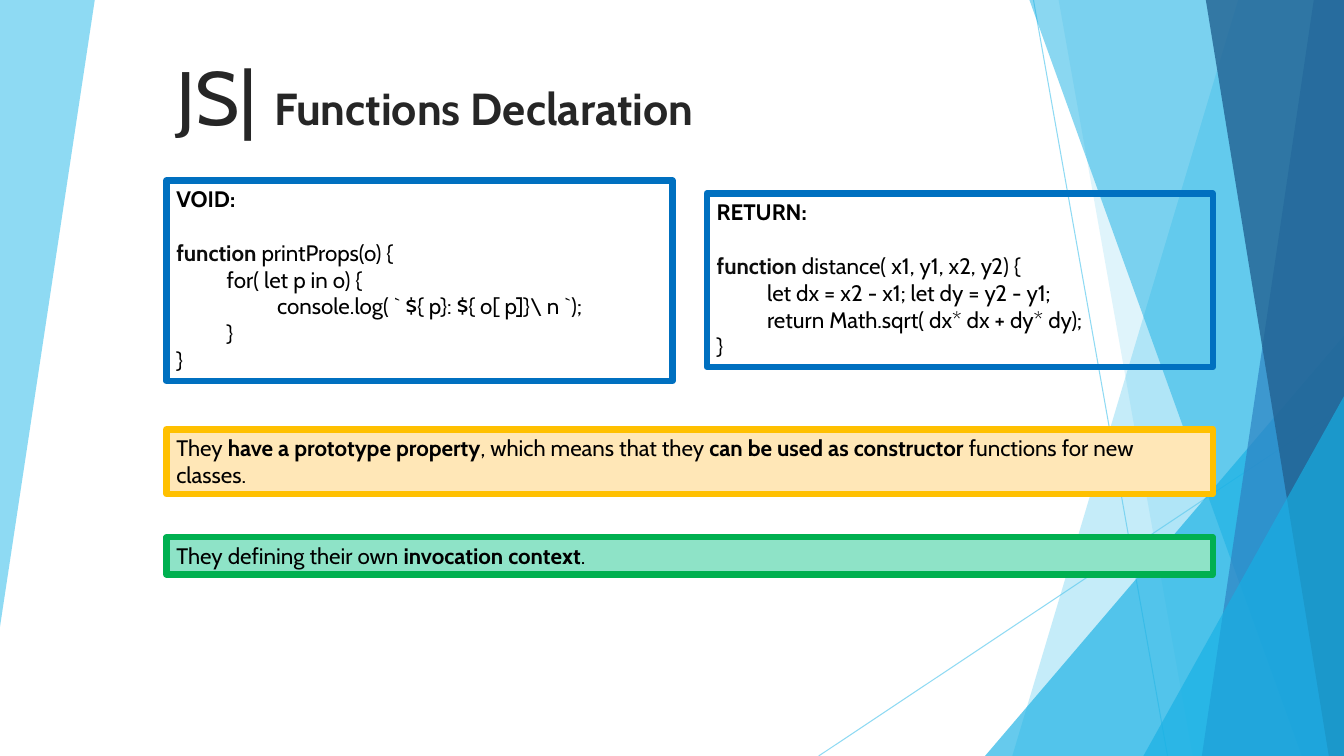
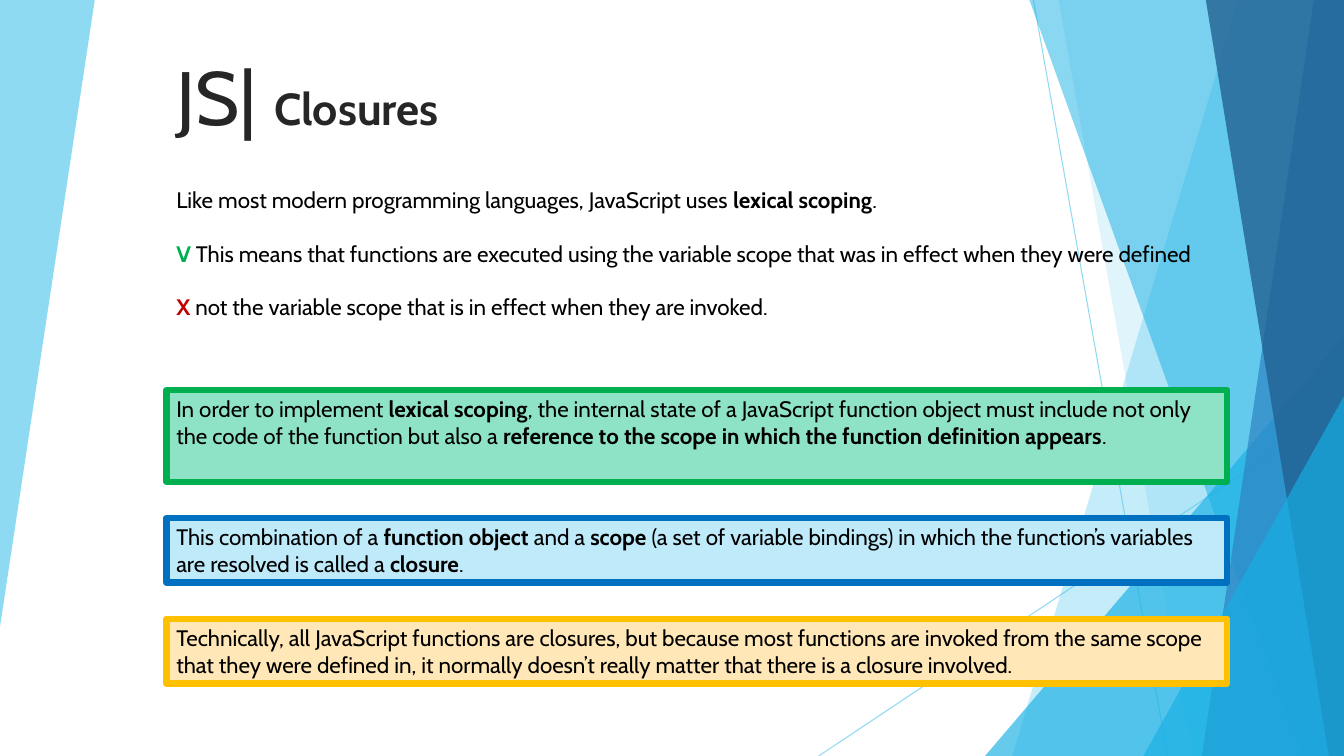
"""Builds two slides on JavaScript functions and closures."""
from lxml.etree import SubElement
from pptx import Presentation
from pptx.dml.color import RGBColor
from pptx.enum.shapes import MSO_CONNECTOR, MSO_SHAPE
from pptx.enum.text import MSO_ANCHOR, PP_ALIGN
from pptx.oxml.ns import qn
from pptx.util import Inches, Pt

FONT = "Cabin"
BODY, BLANK_LINE = 16, 19
WIDTH, HEIGHT = 13.33, 7.5
LEFT = 1.65

BLACK = RGBColor(0x00, 0x00, 0x00)
KEYWORD = RGBColor(0x0D, 0x0D, 0x0D)
TITLE = RGBColor(0x26, 0x26, 0x26)
SKY = RGBColor(0x5F, 0xCB, 0xEF)
CYAN = RGBColor(0x17, 0xB0, 0xE4)
STEEL = RGBColor(0x2E, 0x83, 0xC3)
NAVY = RGBColor(0x22, 0x62, 0x92)
BLUE = RGBColor(0x00, 0x70, 0xC0)
GREEN = RGBColor(0x00, 0xB0, 0x50)
AMBER = RGBColor(0xFF, 0xC0, 0x00)
RED = RGBColor(0xC0, 0x00, 0x00)
PALE_BLUE = RGBColor(0xBF, 0xEA, 0xF9)
PALE_GREEN = RGBColor(0x8E, 0xE3, 0xC7)
PALE_AMBER = RGBColor(0xFF, 0xE7, 0xB7)


def write(p, text, size=BODY, color=BLACK, accent=None, align=PP_ALIGN.LEFT, before=0, indent=0):
    p.alignment = align
    p.space_before = Pt(before)
    if indent:
        p._p.get_or_add_pPr().set("marL", str(Inches(indent)))
    for i, part in enumerate(text.split("**")):
        if part:
            bold = i % 2 == 1
            r = p.add_run()
            r.text = part
            r.font.name, r.font.size, r.font.bold = FONT, Pt(size), bold
            r.font.color.rgb = accent if bold and accent else color


def set_alpha(sp, percent):
    color = next(sp._element.spPr.iter(qn("a:srgbClr")))
    SubElement(color, qn("a:alpha")).set("val", str(percent * 1000))


class Deck:
    def __init__(self):
        self.prs = Presentation()
        self.prs.slide_width, self.prs.slide_height = Inches(WIDTH), Inches(HEIGHT)

    def new_slide(self, topic):
        self.s = self.prs.slides.add_slide(self.prs.slide_layouts[6])
        self.backdrop()
        p = self.text_frame(LEFT, 0.38, 8.49, 1.06, MSO_ANCHOR.BOTTOM).paragraphs[0]
        write(p, "JS| ", size=54, color=TITLE)
        write(p, f"**{topic}**", size=32, color=TITLE)

    def backdrop(self):
        self.polygon([(0, 0), (0.94, 0), (0, 6.22)], SKY, 70)
        self.line(10.25, 0, 11.58, HEIGHT)
        self.line(WIDTH, 4.03, 8.12, HEIGHT)
        self.shard(12.28, 10.04, SKY, 36)
        self.shard(10.5, 11.83, SKY, 20)
        self.triangle(9.77, 3.33)
        self.shard(10.21, 12.91, CYAN, 50)
        self.shard(13.03, 11.92, STEEL, 70)
        self.shard(11.96, 13.18, NAVY, 80)
        self.triangle(11.34, 3.93)

    def tint(self, sp, color, alpha):
        sp.shadow.inherit = False
        sp.fill.solid()
        sp.fill.fore_color.rgb = color
        sp.line.fill.background()
        set_alpha(sp, alpha)

    def polygon(self, points, color, alpha):
        corners = [(Inches(x), Inches(y)) for x, y in points]
        builder = self.s.shapes.build_freeform(*corners[0])
        builder.add_line_segments(corners[1:], close=True)
        self.tint(builder.convert_to_shape(), color, alpha)

    def shard(self, top_x, bottom_x, color, alpha):
        self.polygon([(top_x, 0), (WIDTH, 0), (WIDTH, HEIGHT), (bottom_x, HEIGHT)], color, alpha)

    def triangle(self, x, y):
        sp = self.s.shapes.add_shape(MSO_SHAPE.ISOSCELES_TRIANGLE, Inches(x), Inches(y),
                                     Inches(WIDTH - x), Inches(HEIGHT - y))
        sp.adjustments[0] = 1
        self.tint(sp, CYAN, 66)

    def line(self, x1, y1, x2, y2):
        cx = self.s.shapes.add_connector(MSO_CONNECTOR.STRAIGHT, Inches(x1), Inches(y1),
                                         Inches(x2), Inches(y2))
        cx.line.color.rgb = SKY
        cx.line.width = Pt(0.75)
        set_alpha(cx, 70)
        SubElement(cx._element.spPr, qn("a:effectLst"))

    def text_frame(self, x, y, w, h, anchor=MSO_ANCHOR.TOP):
        tf = self.s.shapes.add_textbox(Inches(x), Inches(y), Inches(w), Inches(h)).text_frame
        tf.word_wrap = True
        tf.vertical_anchor = anchor
        return tf

    def box(self, x, y, w, h, border, fill=None):
        sp = self.s.shapes.add_shape(MSO_SHAPE.RECTANGLE, Inches(x), Inches(y), Inches(w), Inches(h))
        sp.shadow.inherit = False
        if fill is None:
            sp.fill.background()
        else:
            sp.fill.solid()
            sp.fill.fore_color.rgb = fill
        sp.line.color.rgb = border
        sp.line.width = Pt(4.5)
        SubElement(sp.line._ln, qn("a:round"))
        tf = sp.text_frame
        tf.word_wrap = True
        tf.vertical_anchor = MSO_ANCHOR.TOP
        return tf

    def note(self, y, w, h, border, fill, text):
        write(self.box(LEFT, y, w, h, border, fill).paragraphs[0], text)

    def code(self, x, y, h, heading, lines):
        tf = self.box(x, y, 5.02, h, BLUE)
        write(tf.paragraphs[0], f"**{heading}**")
        for i, (level, text) in enumerate(lines):
            write(tf.add_paragraph(), text, accent=KEYWORD, indent=level * 0.5,
                  before=0 if i else BLANK_LINE)

    def statements(self, y, w, h, items):
        tf = self.text_frame(LEFT, y, w, h)
        for i, (text, accent) in enumerate(items):
            p = tf.add_paragraph() if i else tf.paragraphs[0]
            write(p, text, accent=accent, align=PP_ALIGN.JUSTIFY, before=BLANK_LINE if i else 0)


def functions_slide(deck):
    deck.new_slide("Functions Declaration")
    deck.code(LEFT, 1.79, 1.99, "VOID:", [
        (0, "**function **printProps(o) {"),
        (1, "for( let p in o) {"),
        (2, "console.log( ` ${ p}: ${ o[ p]}\\ n `);"),
        (1, "}"),
        (0, "}"),
    ])
    deck.code(7.01, 1.92, 1.72, "RETURN:", [
        (0, "**function** distance( x1, y1, x2, y2) {"),
        (1, "let dx = x2 - x1; let dy = y2 - y1;"),
        (1, "return Math.sqrt( dx* dx + dy* dy);"),
        (0, "}"),
    ])
    width = 10.38
    deck.note(4.26, width, 0.64, AMBER, PALE_AMBER,
              "They **have a prototype property**, which means that they "
              "**can be used as constructor** functions for new classes.")
    deck.note(5.33, width, 0.37, GREEN, PALE_GREEN,
              "They defining their own **invocation context**.")


def closures_slide(deck):
    deck.new_slide("Closures")
    width = 10.52
    deck.statements(1.8, width, 1.72, [
        ("Like most modern programming languages, JavaScript uses **lexical scoping**.", BLACK),
        ("**V** This means that functions are executed using the variable scope "
         "that was in effect when they were defined", GREEN),
        ("**X** not the variable scope that is in effect when they are invoked.", RED),
    ])
    deck.note(3.87, width, 0.91, GREEN, PALE_GREEN,
              "In order to implement **lexical scoping**, the internal state of a JavaScript "
              "function object must include not only the code of the function but also a "
              "**reference to the scope in which the function definition appears**.")
    deck.note(5.14, width, 0.64, BLUE, PALE_BLUE,
              "This combination of a **function object **and a **scope** (a set of variable "
              "bindings) in which the function’s variables are resolved is called a **closure**.")
    deck.note(6.14, width, 0.64, AMBER, PALE_AMBER,
              "Technically, all JavaScript functions are closures, but because most functions "
              "are invoked from the same scope that they were defined in, it normally doesn’t "
              "really matter that there is a closure involved.")


def main():
    deck = Deck()
    functions_slide(deck)
    closures_slide(deck)
    deck.prs.save("out.pptx")


if __name__ == "__main__":
    main()
